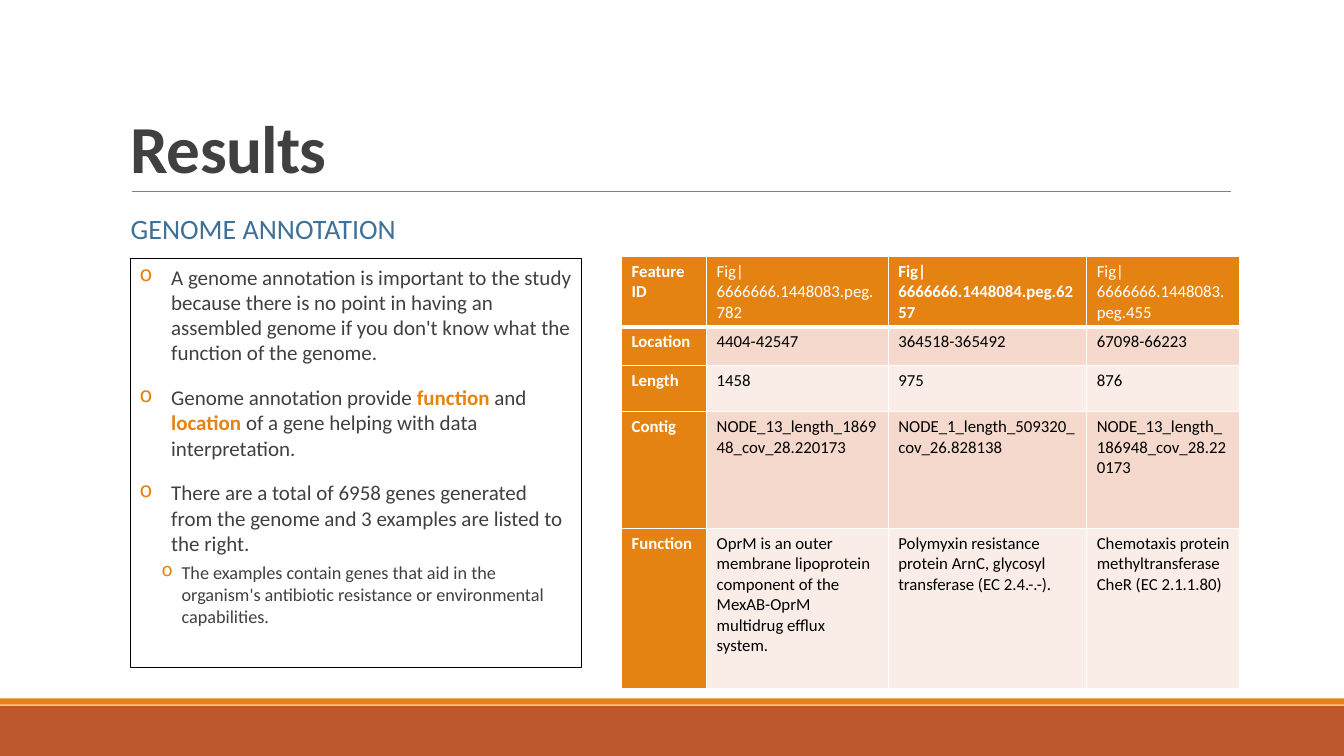
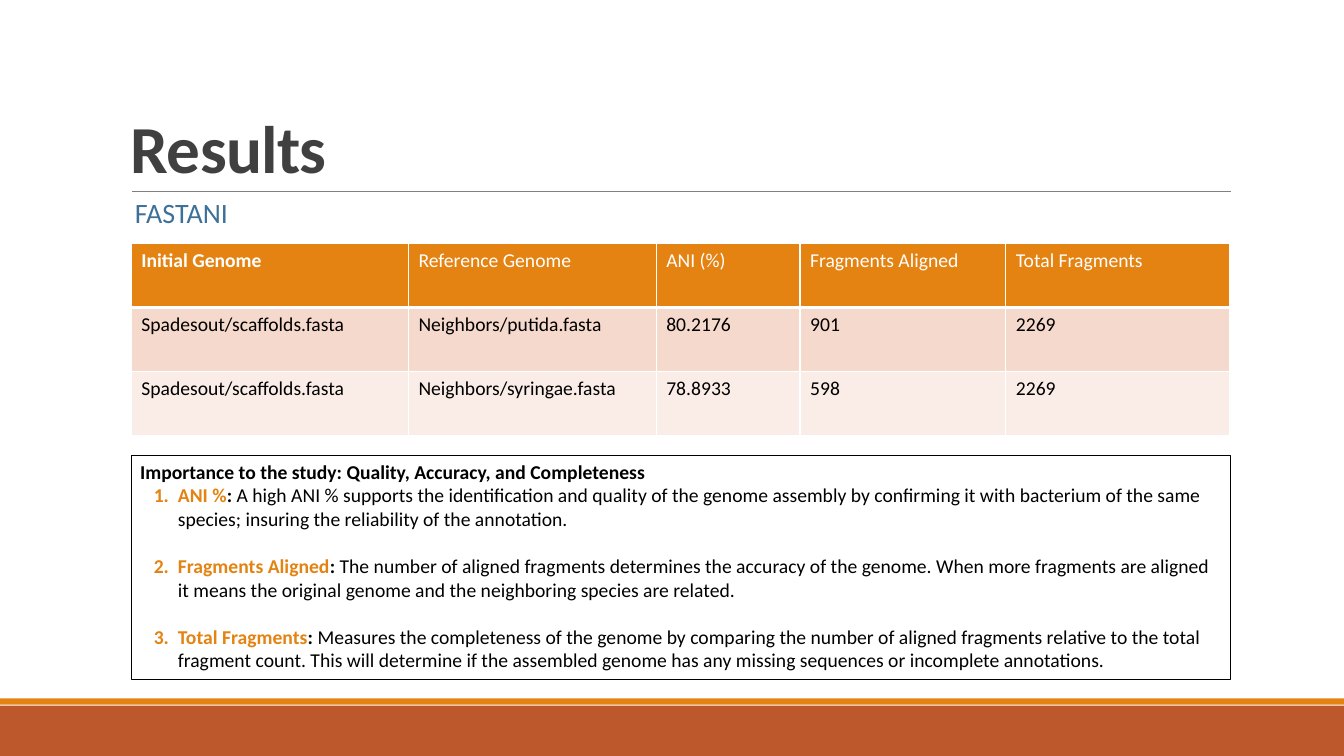
from lxml.etree import SubElement
from pptx import Presentation
from pptx.dml.color import RGBColor
from pptx.enum.shapes import MSO_CONNECTOR, MSO_SHAPE
from pptx.enum.text import MSO_ANCHOR, MSO_AUTO_SIZE, PP_ALIGN
from pptx.oxml.ns import qn
from pptx.util import Emu, Pt

PX = 9525
FONT = "Calibri"
ORANGE, RUST, BLUE = "E48312", "BD582C", "3F7198"
WHITE, BLACK, GREY, RULE_GREY = "FFFFFF", "000000", "404040", "808080"
ROW_TINTS = ("F5D9CC", "FAEDE7")

FEATURE_ROWS = [
    ["Feature ID", "Fig|6666666.1448083.peg.782", "Fig|6666666.1448084.peg.6257",
     "Fig|6666666.1448083.peg.455"],
    ["Location", "4404-42547", "364518-365492", "67098-66223"],
    ["Length", "1458", "975", "876"],
    ["Contig", "NODE_13_length_186948_cov_28.220173",
     "NODE_1_length_509320_cov_26.828138", "NODE_13_length_186948_cov_28.220173"],
    ["Function",
     "OprM is an outer membrane lipoprotein component of the MexAB-OprM multidrug efflux system.",
     "Polymyxin resistance protein ArnC, glycosyl transferase (EC 2.4.-.-).",
     "Chemotaxis protein methyltransferase CheR (EC 2.1.1.80)"],
]
ANI_ROWS = [
    ["Initial Genome", "Reference Genome", "ANI (%)", "Fragments Aligned", "Total Fragments"],
    ["Spadesout/scaffolds.fasta", "Neighbors/putida.fasta", "80.2176", "901", "2269"],
    ["Spadesout/scaffolds.fasta", "Neighbors/syringae.fasta", "78.8933", "598", "2269"],
]
ANNOTATION_POINTS = [
    [("A genome annotation is important to the study because there is no point in having "
      "an assembled genome if you don't know what the function of the genome.", False)],
    [("Genome annotation provide ", False), ("function ", True), ("and ", False),
     ("location ", True), ("of a gene helping with data interpretation.", False)],
    [("There are a total of 6958 genes generated from the genome and 3 examples "
      "are listed to the right.", False)],
]
ANNOTATION_DETAIL = ("The examples contain genes that aid in the organism's antibiotic "
                     "resistance or environmental capabilities.")
IMPORTANCE_HEADING = "Importance to the study: Quality, Accuracy, and Completeness"
MEASURES = [
    ("ANI %",
     "A high ANI % supports the identification and quality of the genome assembly by confirming "
     "it with bacterium of the same species; insuring the reliability of the annotation."),
    ("Fragments Aligned",
     "The number of aligned fragments determines the accuracy of the genome. When more fragments "
     "are aligned it means the original genome and the neighboring species are related."),
    ("Total Fragments",
     "Measures the completeness of the genome by comparing the number of aligned fragments "
     "relative to the total fragment count. This will determine if the assembled genome has any "
     "missing sequences or incomplete annotations."),
]


def px(length):
    """Turn px into EMU."""
    return Emu(length * PX)


def rgb(colour):
    """Turn a hex string into a colour."""
    return RGBColor.from_string(colour)


def style(font, size, colour, bold=False):
    """Set the typeface, size, colour and weight of a font."""
    font.name, font.size, font.bold = FONT, Pt(size), bold
    font.color.rgb = rgb(colour)


def add_run(paragraph, text, bold=None, colour=None):
    """Add a run, changing only the weight or colour that is given."""
    run = paragraph.add_run()
    run.text = text
    if bold is not None:
        run.font.bold = bold
    if colour:
        run.font.color.rgb = rgb(colour)


def add_marker(paragraph, margin, hang, tag, **attributes):
    """Give a paragraph an orange bullet or number with a hanging indent."""
    properties = paragraph._p.get_or_add_pPr()
    properties.set("marL", str(px(margin)))
    properties.set("indent", str(-px(hang)))
    tint = SubElement(properties, qn("a:buClr"))
    SubElement(tint, qn("a:srgbClr")).set("val", ORANGE)
    marker = SubElement(properties, qn(tag))
    for key, value in attributes.items():
        marker.set(key, value)


def add_rectangle(slide, box, fill=None, line=None):
    """Draw a plain rectangle, filled or outlined."""
    rectangle = slide.shapes.add_shape(MSO_SHAPE.RECTANGLE, *map(px, box))
    rectangle.shadow.inherit = False
    if fill:
        rectangle.fill.solid()
        rectangle.fill.fore_color.rgb = rgb(fill)
    else:
        rectangle.fill.background()
    if line:
        rectangle.line.color.rgb = rgb(line)
        rectangle.line.width = Pt(0.5)
    else:
        rectangle.line.fill.background()


def add_text_frame(slide, box):
    """Add a wrapping text box and return its frame."""
    frame = slide.shapes.add_textbox(*map(px, box)).text_frame
    frame.word_wrap = True
    return frame


def add_subtitle(slide, box, text):
    """Write the blue section name under the title."""
    frame = add_text_frame(slide, box)
    frame.vertical_anchor = MSO_ANCHOR.MIDDLE
    paragraph = frame.paragraphs[0]
    paragraph.text = text
    paragraph.line_spacing = 0.9
    style(paragraph.font, 20, BLUE)


def add_results_slide(deck):
    """Add a slide with the shared bands, rule and title."""
    slide = deck.slides.add_slide(deck.slide_layouts[5])
    add_rectangle(slide, (0, 672, 1280, 48), fill=RUST)
    add_rectangle(slide, (0, 665, 1280, 6), fill=ORANGE)
    rule = slide.shapes.add_connector(
        MSO_CONNECTOR.STRAIGHT, px(126), px(182), px(1172), px(182))
    rule.line.color.rgb = rgb(RULE_GREY)
    rule.line.width = Pt(0.5)
    SubElement(rule._element.spPr, qn("a:effectLst"))

    title = slide.shapes.title
    title.left, title.top, title.width, title.height = map(px, (115, 30, 1056, 153))
    frame = title.text_frame
    frame.auto_size = MSO_AUTO_SIZE.NONE
    frame.vertical_anchor = MSO_ANCHOR.BOTTOM
    heading = frame.paragraphs[0]
    heading.text = "Results"
    heading.alignment = PP_ALIGN.LEFT
    heading.line_spacing = 0.85
    style(heading.font, 48, GREY, True)
    heading._p.pPr.find(qn("a:defRPr")).set("spc", "-50")
    return slide


def add_borders(cell, top, bottom):
    """Draw the white borders of a cell, widths in points."""
    properties = cell._tc.get_or_add_tcPr()
    for side, width in (("L", 1), ("R", 1), ("T", top), ("B", bottom)):
        border = SubElement(properties, qn(f"a:ln{side}"))
        border.set("w", str(Pt(width)))
        fill = SubElement(border, qn("a:solidFill"))
        SubElement(fill, qn("a:srgbClr")).set("val", WHITE)


def add_data_table(slide, origin, rows, widths, heights, size, bold_heads, side_heads=False):
    """Build a table with an orange header and tinted rows."""
    box = (*origin, sum(widths), sum(heights))
    table = slide.shapes.add_table(len(rows), len(widths), *map(px, box)).table
    for column, width in zip(table.columns, widths):
        column.width = px(width)
    for r, (texts, height) in enumerate(zip(rows, heights)):
        table.rows[r].height = px(height)
        for c, text in enumerate(texts):
            cell = table.cell(r, c)
            head = r == 0 or (side_heads and c == 0)
            add_borders(cell, 3 if r == 1 else 1, 3 if r == 0 else 1)
            cell.fill.solid()
            cell.fill.fore_color.rgb = rgb(ORANGE if head else ROW_TINTS[(r - 1) % 2])
            paragraph = cell.text_frame.paragraphs[0]
            paragraph.text = text
            bold = c in bold_heads if r == 0 else head
            style(paragraph.font, size, WHITE if head else BLACK, bold)


def add_annotation_points(slide, box):
    """Write the bulleted points inside an outlined box."""
    left, top, width, height = box
    frame = add_text_frame(slide, (left + 9, top + 1, width - 18, height - 14))
    frame.margin_left = frame.margin_right = 0
    for index, point in enumerate(ANNOTATION_POINTS):
        paragraph = frame.add_paragraph() if index else frame.paragraphs[0]
        add_marker(paragraph, 30, 30, "a:buChar", char="o")
        paragraph.space_before, paragraph.space_after = Pt(12), Pt(2)
        style(paragraph.font, 15, GREY)
        for text, key in point:
            add_run(paragraph, text, key or None, ORANGE if key else None)
    detail = frame.add_paragraph()
    detail.text = ANNOTATION_DETAIL
    detail.level = 1
    add_marker(detail, 40, 19, "a:buChar", char="o")
    detail.space_before, detail.space_after = Pt(2), Pt(4)
    style(detail.font, 13, GREY)
    add_rectangle(slide, box, line=BLACK)


def add_importance(slide, box):
    """Write the numbered measures inside an outlined box."""
    left, top, width, height = box
    frame = add_text_frame(slide, (left - 1, top - 1, width - 2, height))
    heading = frame.paragraphs[0]
    heading.text = IMPORTANCE_HEADING
    style(heading.font, 14, BLACK, True)
    for index, (measure, meaning) in enumerate(MEASURES):
        paragraph = frame.add_paragraph()
        add_marker(paragraph, 36, 23, "a:buAutoNum", type="arabicPeriod")
        paragraph.space_before = Pt(17 if index else 0)
        style(paragraph.font, 14, BLACK)
        add_run(paragraph, measure, True, ORANGE)
        add_run(paragraph, ": ", True)
        add_run(paragraph, meaning)
    add_rectangle(slide, box, line=BLACK)


def build_annotation_slide(deck):
    """Build the genome annotation slide."""
    slide = add_results_slide(deck)
    add_subtitle(slide, (115, 180, 518, 78), "GENOME ANNOTATION")
    add_annotation_points(slide, (124, 246, 430, 390))
    add_data_table(slide, (592, 244), FEATURE_ROWS, (81, 173, 189, 146),
                   (52, 37, 44, 111, 153), 12, (0, 2), side_heads=True)


def build_ani_slide(deck):
    """Build the genome comparison slide."""
    slide = add_results_slide(deck)
    add_subtitle(slide, (119, 168, 517, 73), "FASTANI")
    add_data_table(slide, (125, 232), ANI_ROWS, (264, 236, 137, 196, 213),
                   (61, 61, 61), 14, (0,))
    add_importance(slide, (125, 434, 1047, 213))


def main():
    """Build and save the deck."""
    deck = Presentation()
    deck.slide_width, deck.slide_height = px(1280), px(720)
    build_annotation_slide(deck)
    build_ani_slide(deck)
    deck.save("out.pptx")


if __name__ == "__main__":
    main()
